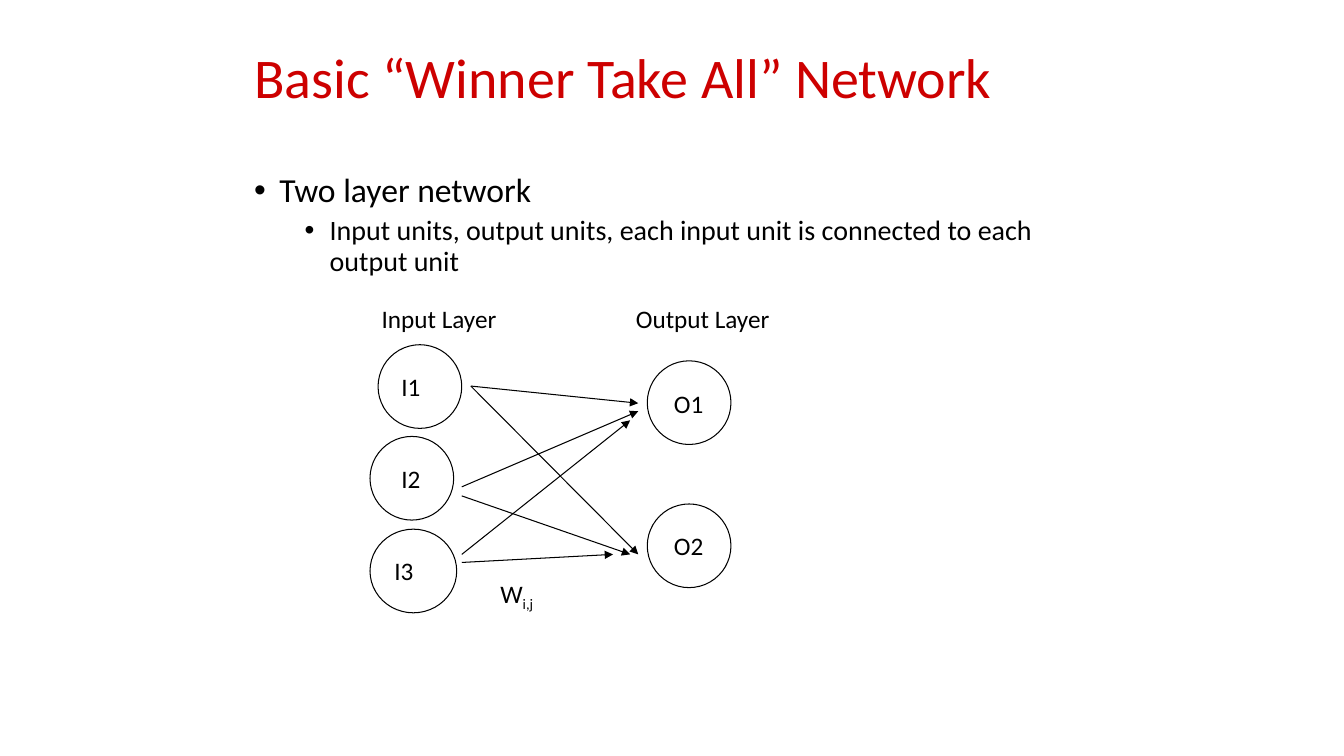
import dataclasses

import pptx
import pptx.dml.color
import pptx.enum.shapes
import pptx.enum.text
import pptx.oxml.ns
import pptx.util
from lxml import etree

Inches = pptx.util.Inches
Pt = pptx.util.Pt
ALIGN = pptx.enum.text.PP_ALIGN
ANCHOR = pptx.enum.text.MSO_ANCHOR
AUTO_SIZE = pptx.enum.text.MSO_AUTO_SIZE


@dataclasses.dataclass(frozen=True)
class Theme:
    font: str = "Calibri"
    heading: str = "CD0000"
    ink: str = "000000"
    paper: str = "FFFFFF"
    title_size: int = 40
    bullet_sizes: tuple = (24, 20)
    label_size: int = 18
    line_width: float = 0.75


THEME = Theme()
NODE_SIZE = 0.83
LABEL_HEIGHT = 0.4

# Unit: circle left, top, width, then label left, top, width
UNITS = {
    "I1": (3.75, 3.42, NODE_SIZE, 3.88, 3.63, 0.39),
    "I2": (3.67, 4.33, NODE_SIZE, 3.88, 4.55, 0.39),
    "I3": (3.67, 5.25, 0.86, 3.81, 5.46, 0.39),
    "O1": (6.42, 3.58, NODE_SIZE, 6.58, 3.8, 0.5),
    "O2": (6.42, 5, NODE_SIZE, 6.58, 5.21, 0.5),
}

# Connections: start x, start y, end x, end y
CONNECTIONS = [
    (4.67, 3.83, 6.33, 4),
    (4.67, 3.83, 6.33, 5.5),
    (4.58, 4.83, 6.33, 4.08),
    (4.58, 4.92, 6.25, 5.5),
    (4.58, 5.5, 6.25, 4.17),
    (4.58, 5.58, 6.08, 5.5),
]


def apply(target, **values):
    for name, value in values.items():
        setattr(target, name, value)


def rgb(colour):
    return pptx.dml.color.RGBColor.from_string(colour)


def add_run(paragraph, text, size, colour=THEME.ink):
    run = paragraph.add_run()
    run.text = text
    apply(run.font, name=THEME.font, size=Pt(size))
    run.font.color.rgb = rgb(colour)
    return run


def style_line(line):
    line.color.rgb = rgb(THEME.ink)
    line.width = Pt(THEME.line_width)


def place(shape, left, top, width, height):
    apply(shape, left=Inches(left), top=Inches(top),
          width=Inches(width), height=Inches(height))


def fill_title(title, text):
    place(title, 2.42, 0.17, 8.5, 1.25)
    apply(title.text_frame, vertical_anchor=ANCHOR.MIDDLE,
          word_wrap=True, auto_size=AUTO_SIZE.NONE)
    heading = title.text_frame.paragraphs[0]
    apply(heading, alignment=ALIGN.LEFT, line_spacing=0.9)
    add_run(heading, text, THEME.title_size, THEME.heading)


def fill_bullets(body, points):
    place(body, 2.42, 1.67, 8.5, 4.5)
    frame = body.text_frame
    apply(frame, vertical_anchor=ANCHOR.TOP, word_wrap=True,
          auto_size=AUTO_SIZE.NONE)
    for level, text in enumerate(points):
        point = frame.add_paragraph() if level else frame.paragraphs[0]
        apply(point, level=level, alignment=ALIGN.LEFT, line_spacing=0.9,
              space_before=Pt(5 * level), space_after=Pt(0))
        properties = point._p.get_or_add_pPr()
        properties.set("marL", str(Inches(0.25 + 0.5 * level)))
        properties.set("indent", str(Inches(-0.25)))
        for tag, key, value in (("a:buFont", "typeface", "Arial"),
                                ("a:buChar", "char", "•")):
            etree.SubElement(properties, pptx.oxml.ns.qn(tag)).set(key, value)
        add_run(point, text, THEME.bullet_sizes[level])


def add_label(slide, text, left, top, width, wrap=False):
    label = slide.shapes.add_textbox(
        Inches(left), Inches(top), Inches(width), Inches(LABEL_HEIGHT))
    apply(label.text_frame, vertical_anchor=ANCHOR.MIDDLE, word_wrap=wrap,
          auto_size=AUTO_SIZE.SHAPE_TO_FIT_TEXT)
    paragraph = label.text_frame.paragraphs[0]
    paragraph.alignment = ALIGN.CENTER
    add_run(paragraph, text, THEME.label_size)
    return paragraph


def add_unit(slide, name, left, top, width, label_left, label_top, label_width):
    circle = slide.shapes.add_shape(
        pptx.enum.shapes.MSO_SHAPE.OVAL,
        Inches(left), Inches(top), Inches(width), Inches(NODE_SIZE))
    circle.shadow.inherit = False
    circle.fill.solid()
    circle.fill.fore_color.rgb = rgb(THEME.paper)
    style_line(circle.line)
    add_label(slide, name, label_left, label_top, label_width)


def add_arrow(slide, *ends):
    arrow = slide.shapes.add_connector(
        pptx.enum.shapes.MSO_CONNECTOR.STRAIGHT, *map(Inches, ends))
    style_line(arrow.line)
    head = etree.SubElement(arrow.line._get_or_add_ln(),
                            pptx.oxml.ns.qn("a:tailEnd"))
    head.set("type", "triangle")
    etree.SubElement(arrow._element.spPr, pptx.oxml.ns.qn("a:effectLst"))


def main():
    deck = pptx.Presentation()
    apply(deck, slide_width=Inches(13.33), slide_height=Inches(7.5))
    slide = deck.slides.add_slide(deck.slide_layouts[1])

    # Heading and description
    fill_title(slide.shapes.title, "Basic “Winner Take All” Network")
    fill_bullets(slide.placeholders[1], [
        "Two layer network",
        "Input units, output units, each input unit is connected to each "
        "output unit",
    ])

    # Network diagram
    for name, geometry in UNITS.items():
        add_unit(slide, name, *geometry)
    for ends in CONNECTIONS:
        add_arrow(slide, *ends)

    # Layer names and weight
    add_label(slide, "Input Layer", 3.68, 2.96, 1.35)
    add_label(slide, "Output Layer", 6.2, 2.96, 1.54)
    weight = add_label(slide, "W", 4.75, 5.71, 0.75, wrap=True)
    subscript = add_run(weight, "i,j", THEME.label_size)
    subscript._r.get_or_add_rPr().set("baseline", "-25000")

    deck.save("out.pptx")


if __name__ == "__main__":
    main()
